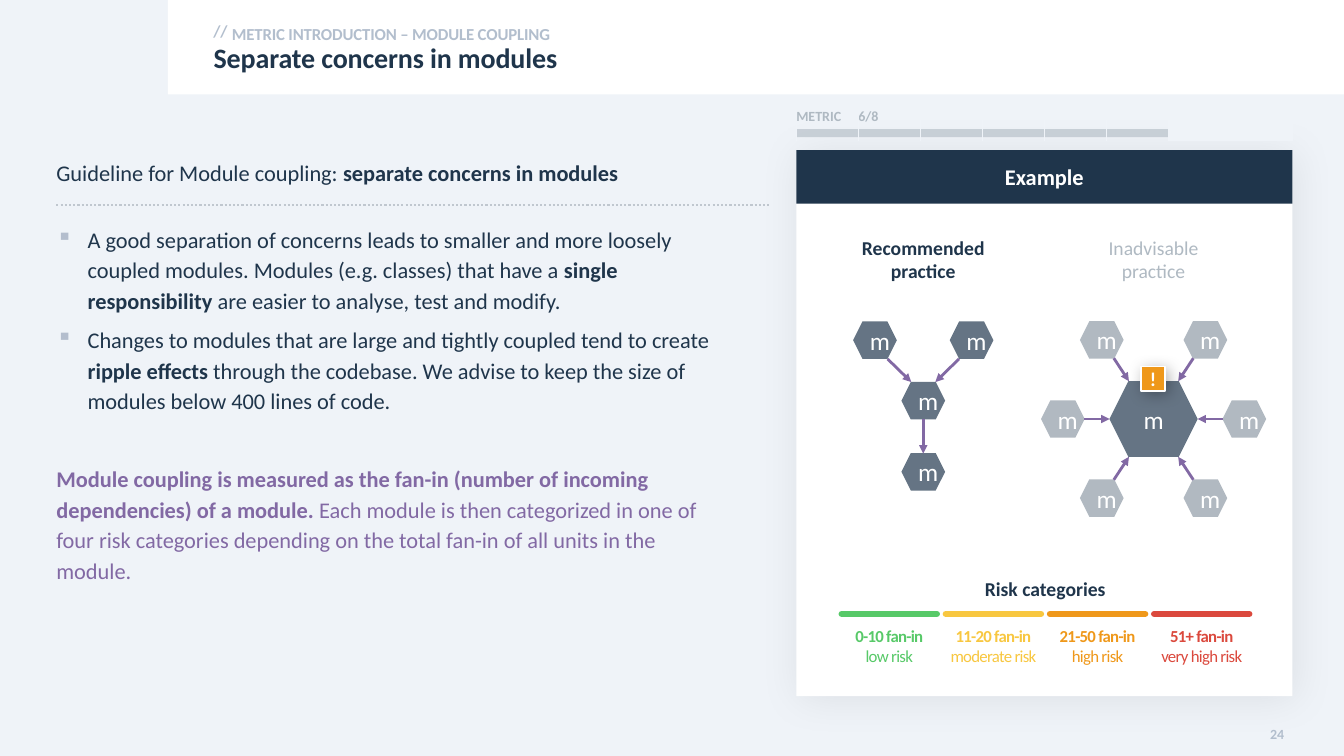
from lxml import etree
from pptx import Presentation, util as u
from pptx.dml import color
from pptx.enum import dml, shapes, text
from pptx.oxml import ns

Pt = u.Pt
NAVY, SLATE, GREY, PURPLE, MIST, WHITE = "1F354B", "657484", "AFB9C2", "8269A4", "EFF3F8", "FFFFFF"
FAINT, ORANGE = "B2BECD", "EF981A"
LEFT, CENTER, RIGHT = text.PP_ALIGN.LEFT, text.PP_ALIGN.CENTER, text.PP_ALIGN.RIGHT
TOP, MIDDLE = text.MSO_ANCHOR.TOP, text.MSO_ANCHOR.MIDDLE
BOLD = {"bold": True}


def rgb(hex_code):
    return color.RGBColor.from_string(hex_code)


def add_xml(parent, tag, **attrs):
    return etree.SubElement(parent, ns.qn(tag), attrs)


def plain(words):
    return [([(words, {})], {})]


class Deck:
    """Holds the slide style and draws each kind of element, in points."""

    font = "Calibri"

    def __init__(self, width, height, background):
        self.prs = Presentation()
        self.prs.slide_width, self.prs.slide_height = Pt(width), Pt(height)
        self.s = self.prs.slides.add_slide(self.prs.slide_layouts[5])
        self.paint(self.s.background.fill, background)

    def paint(self, fill, hex_code, alpha=None):
        fill.solid()
        fill.fore_color.rgb = rgb(hex_code)
        if alpha:
            for clr in fill._xPr.iter(ns.qn("a:srgbClr")):
                add_xml(clr, "a:alpha", val=str(alpha * 1000))

    def put_text(self, tf, paras, size, hex_code, bold=False, spc=0, anchor=TOP,
                 margins=(0, 0, 0, 0), **para_format):
        tf.word_wrap, tf.auto_size, tf.vertical_anchor = True, text.MSO_AUTO_SIZE.NONE, anchor
        for side, gap in zip(("left", "top", "right", "bottom"), margins):
            setattr(tf, "margin_" + side, Pt(gap))
        for i, (runs, extra) in enumerate(paras):
            p = tf.add_paragraph() if i else tf.paragraphs[0]
            form = {**para_format, **extra}
            bullet = form.pop("bullet", None)
            for key, value in form.items():
                setattr(p, key, value)
            if bullet:
                self.bullet(p, *bullet)
            for words, own in runs:
                if words == "\n":
                    p.add_line_break()
                    continue
                r = p.add_run()
                r.text = words
                style = {"name": self.font, "size": Pt(size), "bold": bold, **own}
                for key, value in style.items():
                    setattr(r.font, key, value)
                r.font.color.rgb = rgb(hex_code)
                if spc:
                    r._r.get_or_add_rPr().set("spc", str(spc))

    def bullet(self, p, char, hex_code, indent):
        pPr = p._p.get_or_add_pPr()
        pPr.set("marL", str(Pt(indent)))
        pPr.set("indent", str(-Pt(indent)))
        add_xml(add_xml(pPr, "a:buClr"), "a:srgbClr", val=hex_code)
        add_xml(pPr, "a:buChar", char=char)

    def label(self, box, paras, size, hex_code, **style):
        sp = self.s.shapes.add_textbox(*map(Pt, box))
        self.put_text(sp.text_frame, paras, size, hex_code, **style)

    def title(self, box, words, size, hex_code, **style):
        sp = self.s.shapes.title
        sp.left, sp.top, sp.width, sp.height = map(Pt, box)
        sp.element.getparent().append(sp.element)
        self.put_text(sp.text_frame, plain(words), size, hex_code, **style)

    def shape(self, box, fill, kind="RECTANGLE", alpha=None, border=None, shadow=None):
        sp = self.s.shapes.add_shape(shapes.MSO_SHAPE[kind], *map(Pt, box))
        self.paint(sp.fill, fill, alpha)
        if border:
            sp.line.color.rgb, sp.line.width = rgb(border), Pt(1)
        else:
            sp.line.fill.background()
        sp.shadow.inherit = False
        if shadow:
            opacity, blur = shadow
            effects = sp.element.spPr.find(ns.qn("a:effectLst"))
            outer = add_xml(effects, "a:outerShdw", blurRad=str(Pt(blur)), dist=str(Pt(3)),
                            dir="2700000", algn="tl", rotWithShape="0")
            add_xml(add_xml(outer, "a:srgbClr", val="000000"), "a:alpha", val=str(opacity * 1000))
        return sp

    def module(self, cx, cy, scale=1, alpha=None):
        w, h = 31.2 * scale, 26.8 * scale
        sp = self.shape((cx - w / 2, cy - h / 2, w, h), SLATE, "HEXAGON", alpha)
        self.put_text(sp.text_frame, plain("m"), 18, WHITE, anchor=MIDDLE,
                      margins=(7.2, 3.6, 7.2, 3.6), alignment=CENTER)

    def line(self, start, end, hex_code, width, dash=None, arrow=False, cap=None):
        c = self.s.shapes.add_connector(shapes.MSO_CONNECTOR.STRAIGHT, *map(Pt, (*start, *end)))
        c.line.color.rgb, c.line.width = rgb(hex_code), Pt(width)
        if dash:
            c.line.dash_style = dash
        ln = c.line._get_or_add_ln()
        if cap:
            ln.set("cap", cap)
        if arrow:
            add_xml(ln, "a:tailEnd", type="triangle")
        add_xml(c.element.spPr, "a:effectLst")

    def progress(self, box, captions, steps, done):
        t = self.s.shapes.add_table(1, steps, *map(Pt, box)).table
        t.first_row = t.horz_banding = False
        t._tbl.tblPr[0].text = "{2D5ABB26-0587-4C30-8999-92F81FD0307C}"
        for i in range(steps):
            t.columns[i].width = Pt(box[2] / steps)
            cell = t.cell(0, i)
            words = captions[i:i + 1]
            self.put_text(cell.text_frame, [([(w, {}) for w in words], {})], 10, GREY, bold=True)
            cell.margin_left = cell.margin_top = cell.margin_right = cell.margin_bottom = 0
            if i < done:
                cell.fill.background()
            else:
                self.paint(cell.fill, MIST)
            tcPr = cell._tc.get_or_add_tcPr()
            for j, tag in enumerate(("a:lnL", "a:lnR")):
                ln = add_xml(tcPr, tag, w=str(Pt(1)))
                add_xml(add_xml(ln, "a:solidFill"), "a:srgbClr", val=MIST)
                tcPr.insert(j, ln)


def main():
    d = Deck(960, 540, MIST)
    d.shape((120, 0, 840, 67.5), WHITE)
    d.label((145.4, 11.5, 26.6, 21.6), plain("//"), 12, FAINT, bold=True, spc=-10,
            anchor=MIDDLE, margins=(7.2, 3.6, 7.2, 3.6))
    d.label((165.6, 13.7, 759, 17.3), plain("METRIC INTRODUCTION – MODULE COUPLING"), 12,
            FAINT, bold=True, spc=-10, margins=(0, 1.4, 7.2, 0), line_spacing=1.14)
    d.title((152.6, 31, 772.6, 22.3), "Separate concerns in modules", 20, NAVY, bold=True, spc=-10,
            anchor=MIDDLE, alignment=LEFT, line_spacing=0.9)
    d.label((878, 515.5, 46.5, 18.7), plain("24"), 10, FAINT, bold=True, spc=10,
            anchor=MIDDLE, margins=(0, 2.9, 7.2, 3.6), alignment=RIGHT)

    bullet = {"bullet": ("▪", "B3BDCD", 22.3)}
    d.label((40.3, 107.3, 484, 390), [
        ([("Guideline for Module coupling: ", {}), ("separate concerns in modules", BOLD)],
         {"space_after": Pt(26)}),
        ([("A good separation of concerns leads to smaller and more loosely coupled modules. "
           "Modules (e.g. classes) that have a ", {}), ("single responsibility", BOLD),
          (" are easier to analyse, test and modify.", {})], bullet),
        ([("Changes to modules that are large and tightly coupled tend to create ", {}),
          ("ripple effects ", BOLD), ("through the codebase. We advise to keep the size of "
                                      "modules below 400 lines of code.", {})],
         {**bullet, "space_after": Pt(34.5)}),
    ], 16, NAVY, margins=(0, 3.6, 0, 3.6), line_spacing=1.14, space_after=Pt(6))
    d.label((40.3, 326, 484, 100), [
        ([("Module coupling is measured as the fan-in (number of incoming dependencies) of a module. ",
           BOLD), ("Each module is then categorized in one of four risk categories depending on the "
                   "total fan-in of all units in the module.", {})], {}),
    ], 16, PURPLE, margins=(0, 3.6, 0, 3.6), line_spacing=1.14)
    d.line((40.3, 146.2), (549.4, 146.2), "C0C7CF", 1.5, dash=dml.MSO_LINE.ROUND_DOT)

    d.shape((568.8, 107.3, 354.4, 390), WHITE, shadow=(7, 30))
    d.shape((568.8, 92.2, 354.4, 5.8), GREY, alpha=60)
    d.progress((568.8, 77, 354.4, 23.8), ("METRIC", "6/8"), 8, 6)
    header = d.shape((568.8, 107.3, 354.4, 38.2), NAVY)
    d.put_text(header.text_frame, plain("Example"), 16, WHITE, bold=True, anchor=MIDDLE,
               margins=(0, 5.8, 0, 5.8), alignment=CENTER)

    good_x, hub_x, hub_y = 659.5, 824, 299.3
    for x, word, hex_code, bold in ((good_x, "Recommended", NAVY, True),
                                    (hub_x, "Inadvisable", GREY, False)):
        d.label((x - 60, 168.5, 120, 36), [([(word, {}), ("\n", {}), ("practice", {})], {})],
                14, hex_code, bold=bold, alignment=CENTER)

    for y in (286.2, 337):
        d.module(good_x, y)
    d.line((good_x, 299), (good_x, 324), PURPLE, 2, arrow=True)
    d.module(hub_x, hub_y, scale=2.02)
    spokes = (((37, -56.5), (28.4, -43.4), (17.6, -27)), ((64.8, 0), (49.4, 0), (31.4, 0)),
              ((37, 56.5), (28.4, 43.4), (17.6, 27)))
    for side in (-1, 1):
        d.module(good_x + side * 34.5, 243)
        d.line((good_x + side * 25.5, 256.4), (good_x + side * 8.6, 272.9), PURPLE, 2, arrow=True)
        for spoke in spokes:
            module, start, end = [(hub_x + side * dx, hub_y + dy) for dx, dy in spoke]
            d.module(*module, alpha=50)
            d.line(start, end, PURPLE, 2, arrow=True)
    alert = d.shape((815, 262, 17.3, 17.3), ORANGE, border=WHITE, shadow=(30, 11))
    d.put_text(alert.text_frame, plain("!"), 14, WHITE, bold=True, alignment=CENTER)

    d.label((601.2, 411.8, 290.9, 20.9), plain("Risk categories"), 14, NAVY, bold=True,
            alignment=CENTER)
    risks = (("0-10 fan-in", "low risk", "57C968"), ("11-20 fan-in", "moderate risk", "F8C740"),
             ("21-50 fan-in", "high risk", ORANGE), ("51+ fan-in", "very high risk", "DB493D"))
    for i, (span, risk, hex_code) in enumerate(risks):
        x = 601.2 + i * 74.4
        d.line((x, 438.5), (x + 68, 438.5), hex_code, 4.5, cap="rnd")
        d.label((x, 443.5, 68, 35.3), [([(span, BOLD)], {}), ([(risk, {})], {})], 12, hex_code,
                spc=-50, margins=(0, 3.6, 0, 3.6), alignment=CENTER)
    d.prs.save("out.pptx")


if __name__ == "__main__":
    main()
